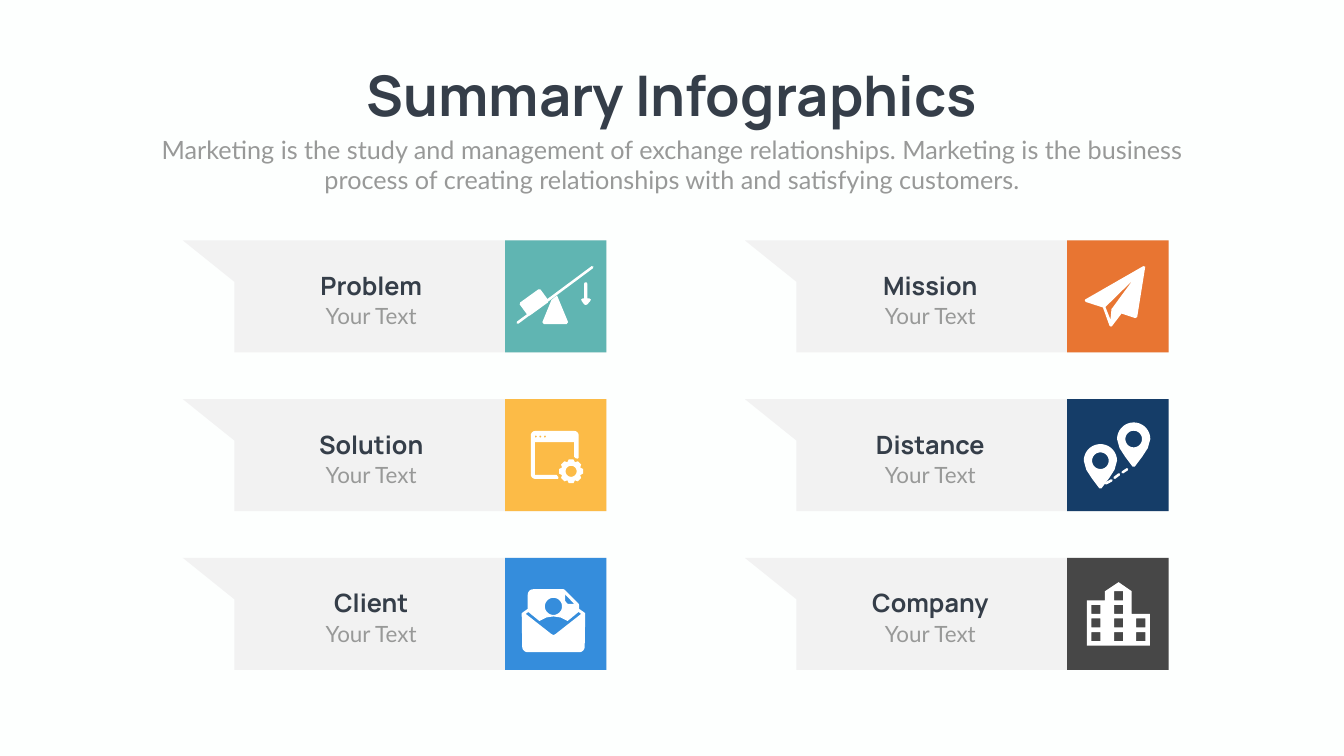
"""Build a summary slide of six cards, each with a heading, a line of text and an icon."""
from math import cos, radians, sin

from lxml.etree import SubElement
from pptx import Presentation
from pptx.dml.color import RGBColor
from pptx.enum.shapes import MSO_CONNECTOR, MSO_SHAPE
from pptx.enum.text import MSO_ANCHOR, MSO_AUTO_SIZE, PP_ALIGN
from pptx.oxml.ns import qn
from pptx.util import Cm, Pt

HUES = {
    "page": "FDFFFE", "ink": "353E49", "grey": "989998", "card": "F2F2F2",
    "white": "FFFFFF", "teal": "60B5B2", "orange": "E87532", "yellow": "FCBB47",
    "navy": "153D68", "blue": "358DDC", "dark": "474747",
}
FONTS = {
    "title": {"name": "Manrope", "size": Pt(80), "bold": True},
    "head": {"name": "Manrope", "size": Pt(36), "bold": True},
    "intro": {"name": "Lato", "size": Pt(36), "bold": False},
    "note": {"name": "Lato", "size": Pt(32), "bold": False},
}
FRAME = {"word_wrap": True, "auto_size": MSO_AUTO_SIZE.SHAPE_TO_FIT_TEXT,
         "vertical_anchor": MSO_ANCHOR.TOP}
PARA = {"alignment": PP_ALIGN.CENTER, "space_before": Pt(0), "line_spacing": 1.0}
UNIT = Cm(0.0254)
FINE = 10


def tint(name):
    """Return the colour of that name."""
    return RGBColor.from_string(HUES[name])


def apply(item, values):
    """Set each attribute of the item from a dict."""
    for key, value in values.items():
        setattr(item, key, value)


def write(shape, text, style, hue):
    """Put one styled line of text into a shape."""
    frame = shape.text_frame
    apply(frame, FRAME)
    para = frame.paragraphs[0]
    apply(para, PARA)
    run = para.add_run()
    run.text = text
    apply(run.font, FONTS[style])
    run.font.color.rgb = tint(hue)


def label(slide, left, top, high, text, style, hue):
    """Add a text box in a card."""
    box = slide.shapes.add_textbox(Cm(left), Cm(top), Cm(10.19), Cm(high))
    write(box, text, style, hue)


def paint(shape, hue):
    """Give a shape a flat fill and no line."""
    shape.shadow.inherit = False
    shape.fill.solid()
    shape.fill.fore_color.rgb = tint(hue)
    shape.line.fill.background()


def draw(slide, left, top, rings, hue):
    """Draw closed rings as one outline, where inner rings are holes."""
    rings = [[(x * FINE, y * FINE) for x, y in ring] for ring in rings]
    pen = slide.shapes.build_freeform(*rings[0][0], scale=UNIT / FINE)
    for ring in rings:
        pen.move_to(*ring[0])
        pen.add_line_segments(ring[1:], close=True)
    paint(pen.convert_to_shape(Cm(left), Cm(top)), hue)


def stroke(slide, left, top, ends):
    """Draw a white line with round ends."""
    x, y, u, v = [UNIT * n for n in ends]
    left, top = Cm(left), Cm(top)
    line = slide.shapes.add_connector(
        MSO_CONNECTOR.STRAIGHT, left + x, top + y, left + u, top + v)
    line.line.width = Pt(3.6)
    line.line.color.rgb = tint("white")
    prop = line._element.spPr
    prop.get_or_add_ln().set("cap", "rnd")
    SubElement(prop, qn("a:effectLst"))


def polar(x, y, r, turn):
    """Return the point at an angle around a centre."""
    return x + r * cos(radians(turn)), y + r * sin(radians(turn))


def arc(x, y, r, start=0, stop=360):
    """Return points along an arc."""
    count = (stop - start) // 10
    return [polar(x, y, r, start + 10 * n) for n in range(count + 1)]


def block(x, y, side=18):
    """Return a square ring."""
    return [(x, y), (x + side, y), (x + side, y + side), (x, y + side)]


def pin(x, y):
    """Return a map pin with a round hole."""
    half = [(28, 18), (17, 35), (2, 55)]
    right = [(x + a, y + b) for a, b in half]
    left = [(x - a, y + b) for a, b in reversed(half)]
    return [arc(x, y, 33, 180, 360) + right + left, arc(x, y, 16.5)]


def lever():
    """Return a box on a seesaw and a falling arrow."""
    box = [(70, 97), (66, 97), (30, 123), (29, 127), (43, 146), (49, 149),
           (85, 123), (84, 116)]
    foot = [(92, 118), (74, 162), (77, 166), (122, 166), (125, 162), (103, 109)]
    arrow = arc(160, 86, 3, 180, 360) + [
        (163, 115), (167, 115), (170, 117), (169, 120), (163, 127), (160, 128),
        (157, 127), (152, 120), (151, 117), (154, 115), (157, 115)]
    return [box, foot, arrow], [(25, 163, 173, 53)]


def plane():
    """Return a paper plane."""
    body = [(155, 52), (151, 51), (36, 117), (35, 119), (37, 122), (71, 133),
            (84, 169), (87, 171), (89, 170), (108, 145), (135, 154), (139, 152)]
    fold = [(89, 135), (88, 136), (86, 157), (76, 132), (130, 79)]
    return [body, fold], []


def window():
    """Return a window with a gear."""
    pane = arc(60, 72, 9, 180, 270) + arc(137, 72, 9, 270, 360) + [
        (146, 116), (144, 118), (140, 117), (137, 114), (137, 85), (59, 85),
        (59, 150), (102, 150), (106, 155), (105, 158)] + arc(60, 149, 9, 90, 180)
    dots = [arc(61 + 9 * n, 74, 2) for n in range(3)]
    gear = [polar(131, 143, r, 45 * n + turn) for n in range(8)
            for r, turn in ((24, -11), (24, 11), (19.5, 22.5))]
    return [pane, *dots, gear, arc(131, 143, 11)], []


def route():
    """Return two map pins joined by dashes."""
    return (pin(132, 79) + pin(66, 122),
            [(110, 145, 119, 139), (94, 156, 103, 149), (77, 167, 88, 161)])


def letter():
    """Return an open envelope with a portrait."""
    body = arc(56, 73, 11, 180, 270) + [
        (116, 62), (118, 63), (146, 91), (147, 93), (147, 101), (157, 108),
        (159, 110)] + arc(147, 176, 11, 0, 90) + arc(45, 176, 11, 90, 180) + [
        (33, 110), (35, 108), (45, 101)]
    fold = [(119, 72), (137, 91), (124, 91), (119, 85)]
    flap = [(41, 111), (46, 107), (68, 125), (82, 118), (96, 116), (110, 118),
            (124, 125), (146, 107), (151, 111), (100, 151), (96, 153), (92, 151)]
    return [body, fold, arc(96, 96, 17), flap], []


def tower():
    """Return a building with windows."""
    wall = [(128, 111), (128, 66), (102, 48), (75, 66), (75, 84), (39, 84),
            (39, 174), (164, 174), (164, 111)]
    panes = [block(x, 147 - 27 * n) for x, count in ((48, 3), (93, 4), (137, 2))
             for n in range(count)]
    return [wall, *panes], []


CARDS = [
    ("Problem", "teal", lever), ("Mission", "orange", plane),
    ("Solution", "yellow", window), ("Distance", "navy", route),
    ("Client", "blue", letter), ("Company", "dark", tower),
]


def card(slide, col, row, name, hue, icon):
    """Add one card at its place in the grid."""
    left, top = 9.22 + 28.32 * col, 12.12 + 8 * row
    flag = [(840, 0), (0, 0), (102, 82), (102, 222), (840, 222)]
    draw(slide, left, top, [flag], "card")
    side = left + 16.23
    tile = slide.shapes.add_shape(
        MSO_SHAPE.RECTANGLE, Cm(side), Cm(top), Cm(5.11), Cm(5.64))
    paint(tile, hue)
    inset = 13.61 + 28.17 * col
    label(slide, inset, top + 3, 1.63, "Your Text", "note", "grey")
    label(slide, inset, top + 1.37, 1.8, name, "head", "ink")
    rings, lines = icon()
    draw(slide, side, top, rings, "white")
    for ends in lines:
        stroke(slide, side, top, ends)


def header(slide):
    """Fill the title and the intro below it."""
    title, intro = slide.placeholders
    apply(title, {"left": Cm(16.61), "top": Cm(2.9), "width": Cm(34.49), "height": Cm(3.68)})
    apply(intro, {"left": Cm(7.42), "top": Cm(6.63), "width": Cm(52.88), "height": Cm(3.33)})
    write(title, "Summary Infographics", "title", "ink")
    write(intro, "Marketing is the study and management of exchange relationships. "
          "Marketing is the business process of creating relationships with and "
          "satisfying customers.", "intro", "grey")


def main():
    """Build and save the slide."""
    deck = Presentation()
    apply(deck, {"slide_width": Cm(67.72), "slide_height": Cm(38.1)})
    slide = deck.slides.add_slide(deck.slide_layouts[0])
    slide.background.fill.solid()
    slide.background.fill.fore_color.rgb = tint("page")
    header(slide)
    for n, item in enumerate(CARDS):
        card(slide, n % 2, n // 2, *item)
    deck.save("out.pptx")


if __name__ == "__main__":
    main()
